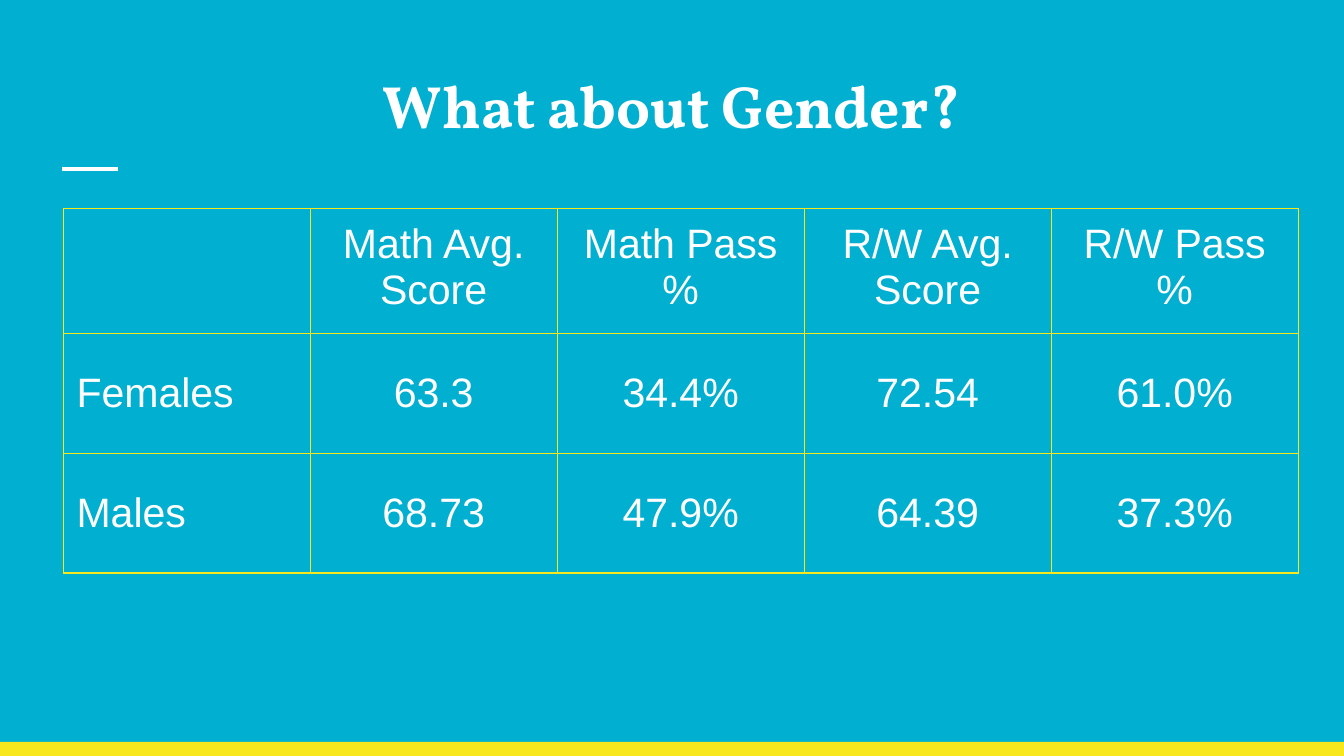
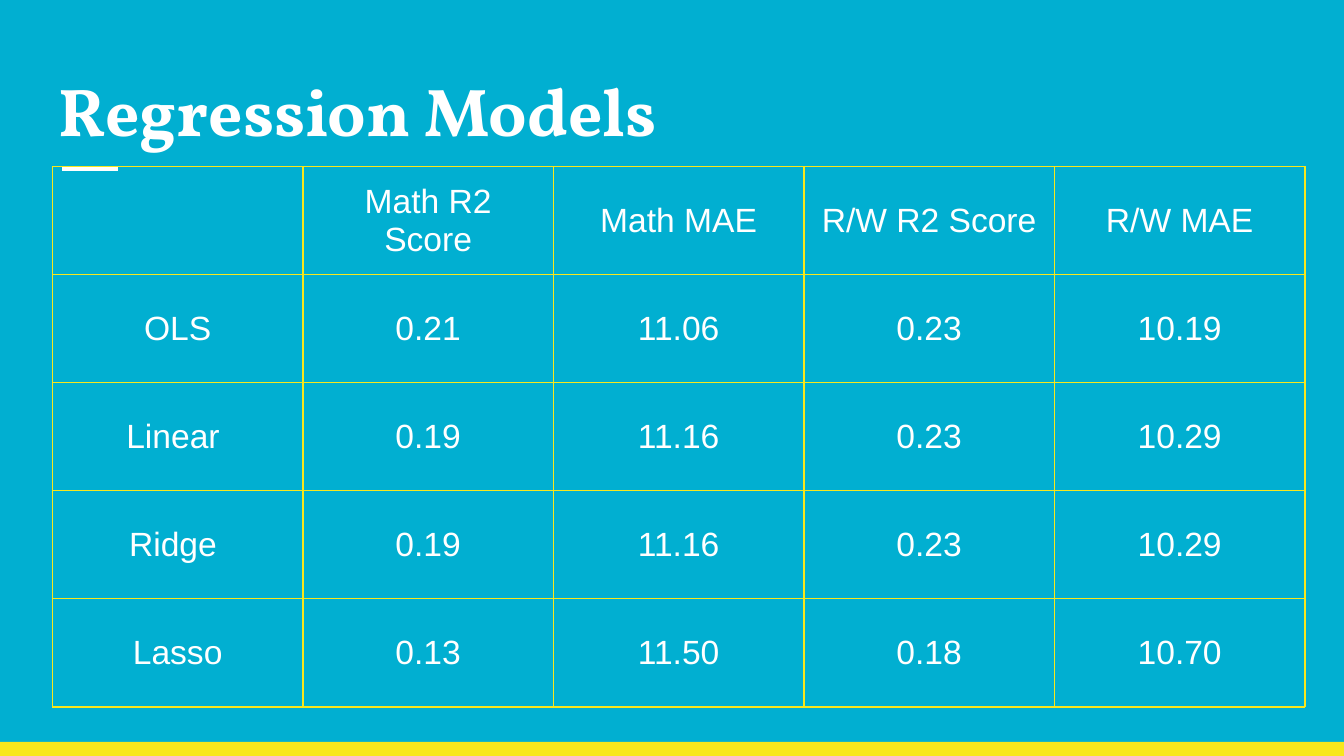
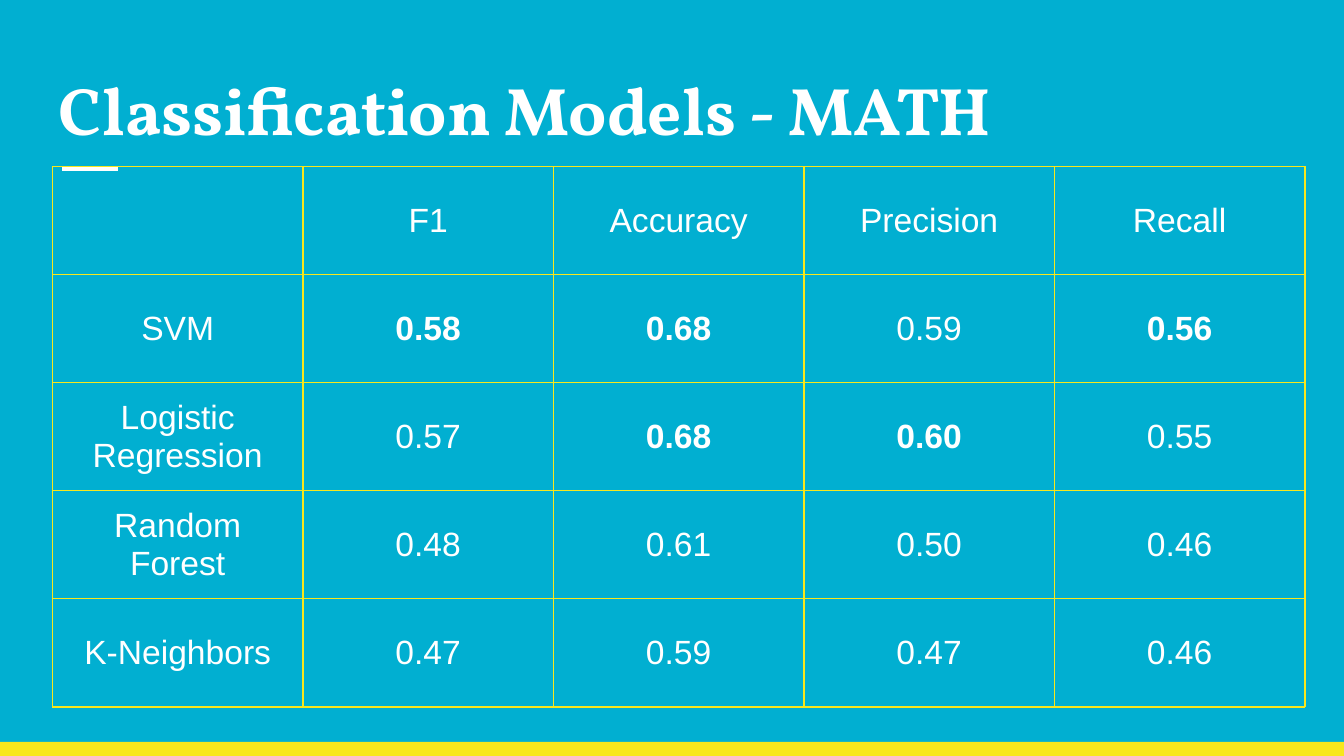
import pptx
import pptx.util
import pptx.dml.color
import pptx.enum.shapes
import pptx.enum.text
import pptx.oxml
import pptx.oxml.ns

Inches, Pt = pptx.util.Inches, pptx.util.Pt
RGB = pptx.dml.color.RGBColor
ALIGN = pptx.enum.text.PP_ALIGN
ANCHOR = pptx.enum.text.MSO_ANCHOR

BLUE = RGB(0x01, 0xAF, 0xD1)
YELLOW = RGB(0xF8, 0xE7, 0x1C)
WHITE = RGB(0xFF, 0xFF, 0xFF)
HEAD, BODY = "Vollkorn", "Arial"
FRAME = Inches(3.28)

# Content: box is the grid's left, top, width and height
GENDER = {
    "title": "What about Gender?", "size": 32, "align": ALIGN.CENTER,
    "box": (0.47, 1.55, 9.19, 2.67), "text": 22,
    "top": ANCHOR.TOP, "side": ALIGN.LEFT, "best": False,
    "rows": [
        ("", "Math Avg. Score", "Math Pass %", "R/W Avg. Score", "R/W Pass %"),
        ("Females", "63.3", "34.4%", "72.54", "61.0%"),
        ("Males", "68.73", "47.9%", "64.39", "37.3%"),
    ],
}
MODEL = {
    "size": 36, "align": ALIGN.LEFT, "box": (0.39, 1.24, 9.32, 4.02),
    "text": 18, "top": ANCHOR.MIDDLE, "side": ALIGN.CENTER,
}
REGRESS = {
    **MODEL, "title": "Regression Models", "size": 36.2, "best": False,
    "rows": [
        ("", "Math R2 Score", "Math MAE", "R/W R2 Score", "R/W MAE"),
        ("OLS", "0.21", "11.06", "0.23", "10.19"),
        ("Linear ", "0.19", "11.16", "0.23", "10.29"),
        ("Ridge ", "0.19", "11.16", "0.23", "10.29"),
        ("Lasso", "0.13", "11.50", "0.18", "10.70"),
    ],
}
CLASSIFY = {
    **MODEL, "title": "Classification Models - MATH", "best": True,
    "rows": [
        ("", "F1", "Accuracy", "Precision", "Recall"),
        ("SVM", "0.58", "0.68", "0.59", "0.56"),
        ("Logistic Regression", "0.57", "0.68", "0.60", "0.55"),
        ("Random Forest", "0.48", "0.61", "0.50", "0.46"),
        ("K-Neighbors", "0.47", "0.59", "0.47", "0.46"),
    ],
}


def style(para, font, size, align, bold=False):
    para.alignment = align
    for run in para.runs:
        run.font.name = font
        run.font.size = Pt(size)
        run.font.bold = bold
        run.font.color.rgb = WHITE


def pad(item):
    item.margin_left = item.margin_right = Inches(0.1)
    item.margin_top = item.margin_bottom = Inches(0.1)


# Band, rule and title
def add_frame(slide, data):
    band = slide.shapes.add_shape(
        pptx.enum.shapes.MSO_SHAPE.RECTANGLE,
        Inches(0), Inches(5.52), Inches(10), Inches(0.11))
    band.shadow.inherit = False
    band.fill.solid()
    band.fill.fore_color.rgb = YELLOW
    band.line.fill.background()

    rule = slide.shapes.add_connector(
        pptx.enum.shapes.MSO_CONNECTOR.STRAIGHT,
        Inches(0.46), Inches(1.26), Inches(0.88), Inches(1.26))
    rule.line.color.rgb = WHITE
    rule.line.width = Pt(2.25)
    props = rule._element.spPr
    props.append(pptx.oxml.parse_xml(
        f"<a:effectLst {pptx.oxml.ns.nsdecls('a')}/>"))

    title = slide.shapes.add_textbox(
        Inches(0.34), Inches(0.41), Inches(9.32), Inches(0.71))
    frame = title.text_frame
    frame.word_wrap = True
    pad(frame)
    frame.text = data["title"]
    style(frame.paragraphs[0], HEAD, data["size"], data["align"], True)


def add_edges(cell):
    props = cell._tc.get_or_add_tcPr()
    for side in "LRTB":
        props.append(pptx.oxml.parse_xml(
            f"<a:ln{side} {pptx.oxml.ns.nsdecls('a')} w='{Pt(0.75)}'>"
            f"<a:solidFill><a:srgbClr val='{YELLOW}'/></a:solidFill>"
            f"</a:ln{side}>"))


def add_grid(slide, data):
    rows = data["rows"]
    box = [Inches(n) for n in data["box"]]
    holder = slide.shapes.add_table(len(rows), len(rows[0]), *box)
    # Columns and rows set the drawn size; the frame stays square
    holder.width = holder.height = FRAME
    table = holder.table
    table.first_row = table.horz_banding = False
    peaks = [max(col[1:]) for col in zip(*rows)]
    for r, row in enumerate(rows):
        for c, text in enumerate(row):
            cell = table.cell(r, c)
            add_edges(cell)
            cell.fill.background()
            pad(cell)
            cell.vertical_anchor = ANCHOR.MIDDLE if r else data["top"]
            cell.text_frame.text = text
            # The best score of each column stands out
            bold = data["best"] and r > 0 and c > 0 and text == peaks[c]
            align = ALIGN.CENTER if c else data["side"]
            style(cell.text_frame.paragraphs[0], BODY, data["text"],
                  align, bold)


def main():
    deck = pptx.Presentation()
    deck.slide_width = Inches(10)
    deck.slide_height = deck.slide_width * 9 // 16
    back = deck.slide_master.background.fill
    back.solid()
    back.fore_color.rgb = BLUE
    for data in (GENDER, REGRESS, CLASSIFY):
        slide = deck.slides.add_slide(deck.slide_layouts[6])
        add_frame(slide, data)
        add_grid(slide, data)
    deck.save("out.pptx")


if __name__ == "__main__":
    main()
